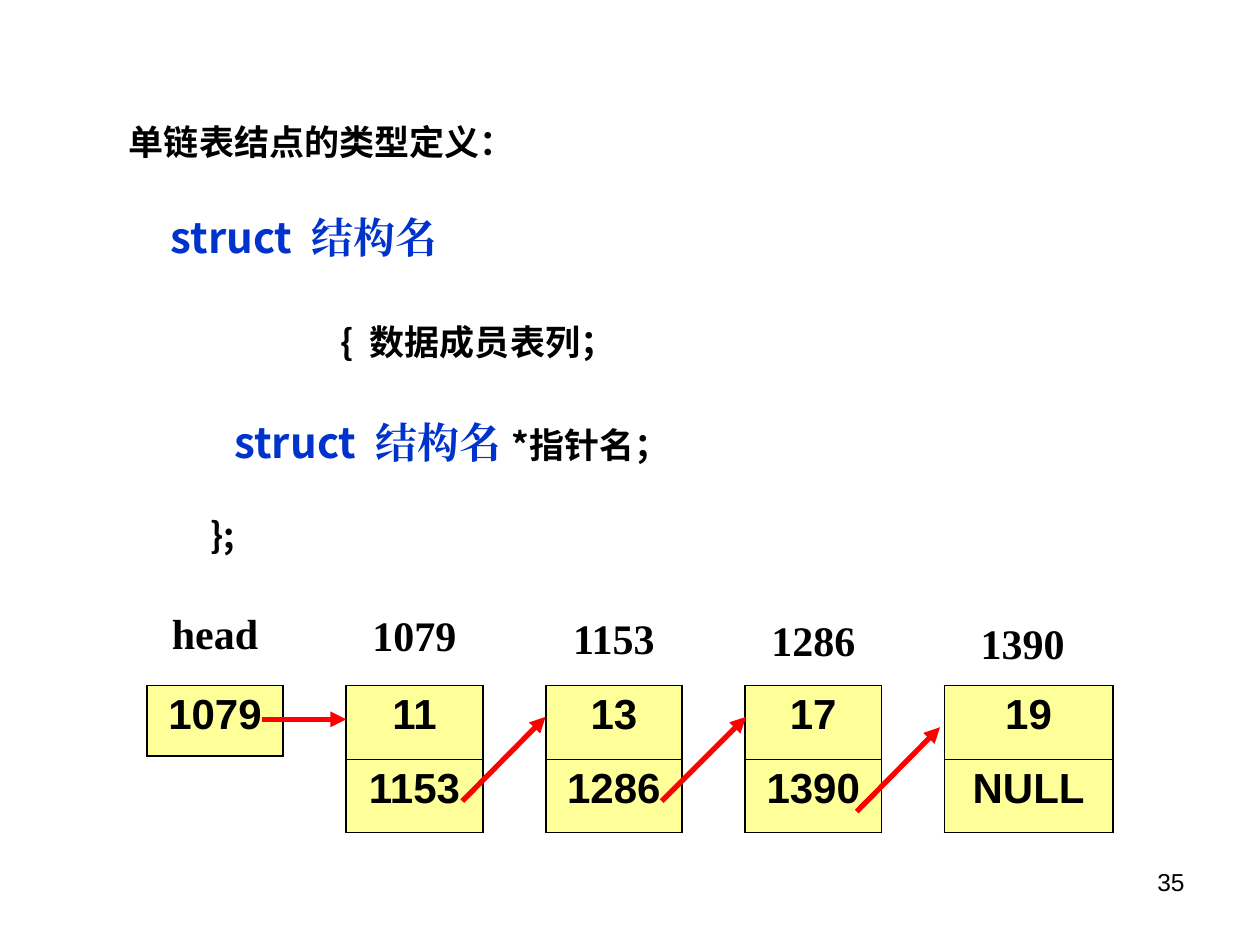
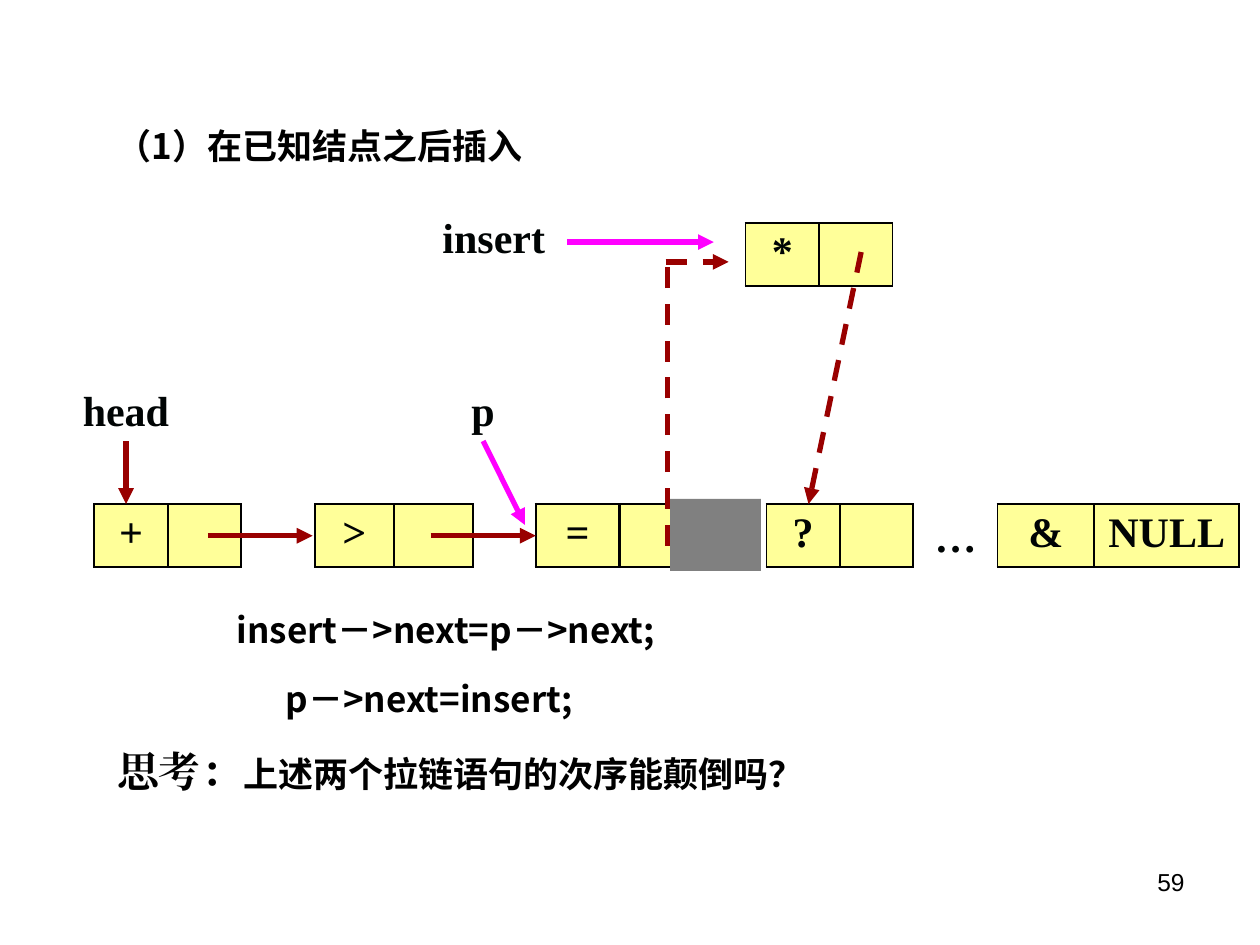
import collections

import lxml.etree
import pptx
import pptx.dml.color
import pptx.enum.dml
import pptx.enum.shapes
import pptx.enum.text
import pptx.oxml
import pptx.oxml.ns
import pptx.util

Cm = pptx.util.Cm
Pt = pptx.util.Pt
qn = pptx.oxml.ns.qn
ALIGN = pptx.enum.text.PP_ALIGN

Style = collections.namedtuple("Style", "font size bold color")
SANS, SERIF, ARIAL = "Noto Sans CJK SC", "Times New Roman", "Arial"
BLACK, INK, BLUE = "000000", "000404", "0033CC"
RED, DARK_RED, MAGENTA = "FF0000", "990000", "FF00FF"
CELL_FILL, GRAY = "FFFF99", "808080"

BODY = Style(SANS, 20, True, BLACK)
KEYWORD = Style(SANS, 24, True, BLUE)
STRUCT_NAME = Style(SERIF, 24, True, BLUE)
CODE_INDENT = Style(SERIF, 24, False, BLACK)
LABEL = Style(SERIF, 24, True, BLACK)
NODE_TEXT = Style(SERIF, 24, True, INK)
TABLE_TEXT = Style(ARIAL, 24, True, BLACK)
PAGE_NUMBER = Style(ARIAL, 14, False, BLACK)


def rgb(value):
    return pptx.dml.color.RGBColor.from_string(value)


def set_font(font, style):
    font.size = Pt(style.size)
    font.bold = style.bold
    font.color.rgb = rgb(style.color)
    font.name = style.font
    lxml.etree.SubElement(font._rPr, qn("a:ea"), typeface=style.font)


def write_paragraph(paragraph, runs, align=ALIGN.LEFT):
    paragraph.alignment = align
    for text, style in runs:
        run = paragraph.add_run()
        run.text = text
        if len(runs) > 1:
            set_font(run.font, style)
    if len(runs) == 1:
        set_font(paragraph.font, runs[0][1])


def add_text(slide, box, paragraphs, align=ALIGN.LEFT, line_spacing=None, middle=False):
    frame = slide.shapes.add_textbox(*map(Cm, box)).text_frame
    frame.word_wrap = True
    if middle:
        frame.vertical_anchor = pptx.enum.text.MSO_ANCHOR.MIDDLE
    for index, runs in enumerate(paragraphs):
        paragraph = frame.add_paragraph() if index else frame.paragraphs[0]
        if line_spacing:
            paragraph.line_spacing = line_spacing
        if index:
            paragraph.space_before = Pt(12.5)
        write_paragraph(paragraph, runs, align)


def add_label(slide, left, top, width, text, style, middle=False):
    add_text(slide, (left, top, width, 1.27), [[(text, style)]], ALIGN.CENTER, middle=middle)


def add_arrow(slide, origin, start, end, color, dashed=False, arrowhead=True):
    ends = [Cm(base + offset) for point in (start, end) for base, offset in zip(origin, point)]
    connector = slide.shapes.add_connector(pptx.enum.shapes.MSO_CONNECTOR.STRAIGHT, *ends)
    connector.line.color.rgb = rgb(color)
    connector.line.width = Pt(3)
    if dashed:
        connector.line.dash_style = pptx.enum.dml.MSO_LINE.DASH
    if arrowhead:
        lxml.etree.SubElement(connector.line._ln, qn("a:tailEnd"), type="triangle")
    lxml.etree.SubElement(connector._element.spPr, qn("a:effectLst"))


def set_borders(cell, widths):
    properties = cell._tc.get_or_add_tcPr()
    for index, (side, width) in enumerate(zip("LRTB", widths)):
        line = lxml.etree.Element(qn("a:ln" + side), w=str(Pt(width)))
        fill = lxml.etree.SubElement(line, qn("a:solidFill"))
        lxml.etree.SubElement(fill, qn("a:srgbClr"), val=BLACK)
        properties.insert(index, line)


def add_cells(slide, left, top, rows, column_widths, row_height, style, inner, outer=1.08):
    row_count, column_count = len(rows), len(column_widths)
    size = (sum(column_widths), row_height * row_count)
    table = slide.shapes.add_table(
        row_count, column_count, *map(Cm, (left, top, *size))
    ).table
    table.first_row = table.horz_banding = False
    for column, width in zip(table.columns, column_widths):
        column.width = Cm(width)
    for row_index, values in enumerate(rows):
        table.rows[row_index].height = Cm(row_height)
        for column_index, value in enumerate(values):
            cell = table.cell(row_index, column_index)
            cell.fill.solid()
            cell.fill.fore_color.rgb = rgb(CELL_FILL)
            at_edge = (
                column_index == 0,
                column_index == column_count - 1,
                row_index == 0,
                row_index == row_count - 1,
            )
            set_borders(cell, [outer if edge else inner for edge in at_edge])
            if value:
                write_paragraph(cell.text_frame.paragraphs[0], [(value, style)], ALIGN.CENTER)


def add_slide(presentation, number):
    slide = presentation.slides.add_slide(presentation.slide_layouts[6])
    add_text(slide, (18.21, 17.35, 5.92, 1.32), [[(number, PAGE_NUMBER)]], ALIGN.RIGHT)
    return slide


def add_struct_code(slide, left, top):
    add_text(slide, (left, top, 17.15, 7.82), [
        [("         ", BODY), ("struct  ", KEYWORD), ("结构名", STRUCT_NAME)],
        [("                       ", CODE_INDENT), ("{  数据成员表列；", BODY)],
        [("                 ", BODY), ("struct  ", KEYWORD), ("结构名 ", STRUCT_NAME),
         ("*指针名；", BODY)],
        [("              };", BODY)],
    ], line_spacing=1.6)


def add_address_chain(slide, left, top):
    pitch, label_width = 4.02, 2.75
    nodes = [
        ("head", ["1079"], 2.75, 1.42, 0),
        ("1079", ["11", "1153"], 2.75, 1.48, 0),
        ("1153", ["13", "1286"], 2.75, 1.48, 0),
        ("1286", ["17", "1390"], 2.75, 1.48, 0),
        ("1390", ["19", "NULL"], 3.39, 1.48, 0.2),
    ]
    for index, (label, values, width, row_height, label_shift) in enumerate(nodes):
        node_left = left + index * pitch
        add_label(slide, node_left + label_shift, top + index * 0.05, label_width, label, LABEL)
        add_cells(slide, node_left, top + 1.7, [[value] for value in values], [width],
                  row_height, TABLE_TEXT, inner=0.45)
    links = [
        ((2.32, 2.38), (4.02, 2.38)),
        ((6.36, 4.03), (8.04, 2.33)),
        ((10.38, 4.03), (12.08, 2.33)),
        ((14.31, 4.24), (15.99, 2.54)),
    ]
    for start, end in links:
        add_arrow(slide, (left, top), start, end, RED)


def add_linked_list(slide, left, top):
    origin = (left, top)
    nodes = [
        (0, ["+", ""], (1.48, 1.48), 1.08),
        (4.45, [">", ""], (1.59, 1.59), 1.08),
        (8.9, ["=", ""], (1.69, 1.69), 1.47),
        (13.55, ["?", ""], (1.48, 1.48), 1.08),
        (18.21, ["&", "NULL"], (1.95, 2.92), 1.08),
    ]
    for offset, values, widths, outer in nodes:
        add_cells(slide, left + offset, top, [values], widths, 1.27, NODE_TEXT, 1.47, outer)
    for offset, name in ((-0.63, "head"), (6.57, "p")):
        add_label(slide, left + offset, top - 2.54, 2.54, name, NODE_TEXT)
    add_label(slide, left + 16.52, top, 1.69, "…", NODE_TEXT, middle=True)
    add_arrow(slide, origin, (0.64, -1.27), (0.64, 0), DARK_RED)
    add_arrow(slide, origin, (2.29, 0.64), (4.4, 0.64), DARK_RED)
    add_arrow(slide, origin, (6.78, 0.64), (8.9, 0.64), DARK_RED)
    add_arrow(slide, origin, (7.84, -1.27), (8.68, 0.42), MAGENTA)


def add_inserted_node(slide, left, top):
    origin = (left, top)
    add_label(slide, left, top, 3.39, "insert", NODE_TEXT)
    add_cells(slide, left + 6.77, top + 0.36, [["*", ""]], (1.48, 1.48), 1.27, NODE_TEXT, 1.47)
    add_arrow(slide, origin, (3.17, 0.74), (6.13, 0.74), MAGENTA)
    add_arrow(slide, origin, (5.2, 6.86), (5.2, 1.14), DARK_RED, dashed=True, arrowhead=False)
    add_arrow(slide, origin, (5.16, 1.14), (6.43, 1.14), DARK_RED, dashed=True)
    add_arrow(slide, origin, (9.1, 0.94), (8.04, 6.02), DARK_RED, dashed=True)


def add_removed_link(slide, left, top):
    cover = slide.shapes.add_shape(
        pptx.enum.shapes.MSO_SHAPE.RECTANGLE, *map(Cm, (left, top, 1.83, 1.45))
    )
    cover.shadow.inherit = False
    cover.fill.solid()
    cover.fill.fore_color.rgb = rgb(GRAY)
    cover.line.fill.background()


def add_statements(slide, left, top):
    add_text(slide, (left + 2.41, top, 10.67, 1.12), [[("insert－>next=p－>next;", BODY)]])
    add_text(slide, (left + 3.4, top + 1.4, 17.15, 1.12), [[("p－>next=insert;", BODY)]])
    add_text(slide, (left, top + 2.77, 19.25, 1.27), [
        [("思考：", LABEL), ("上述两个拉链语句的次序能颠倒吗？", BODY)],
    ])


def build_type_definition(presentation):
    slide = add_slide(presentation, "35")
    add_text(slide, (2.35, 1.45, 16.3, 2.29), [[("单链表结点的类型定义：", BODY)]], line_spacing=2.0)
    add_struct_code(slide, 1.75, 3.53)
    add_address_chain(slide, 2.96, 12.12)


def build_insertion(presentation):
    slide = add_slide(presentation, "59")
    add_text(slide, (2.1, 1.96, 21.2, 1.52), [[("（1）在已知结点之后插入", BODY)]], line_spacing=1.5)
    add_linked_list(slide, 1.9, 10.16)
    add_inserted_node(slide, 8.26, 4.14)
    add_removed_link(slide, 13.51, 10.06)
    add_statements(slide, 2.11, 12.14)


def main():
    presentation = pptx.Presentation()
    presentation.slide_width = Cm(25.4)
    presentation.slide_height = Cm(19.05)
    build_type_definition(presentation)
    build_insertion(presentation)
    presentation.save("out.pptx")


if __name__ == "__main__":
    main()
